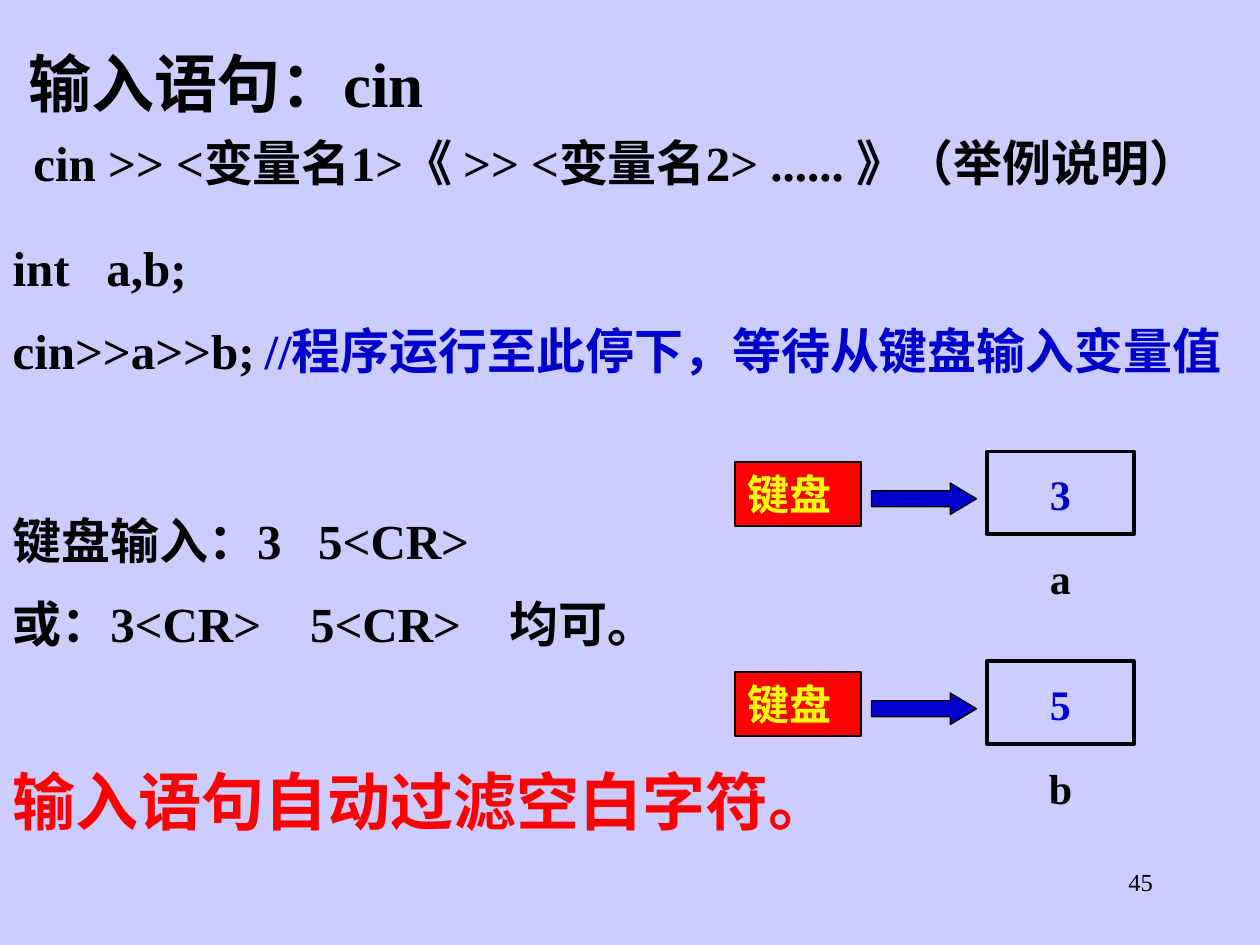
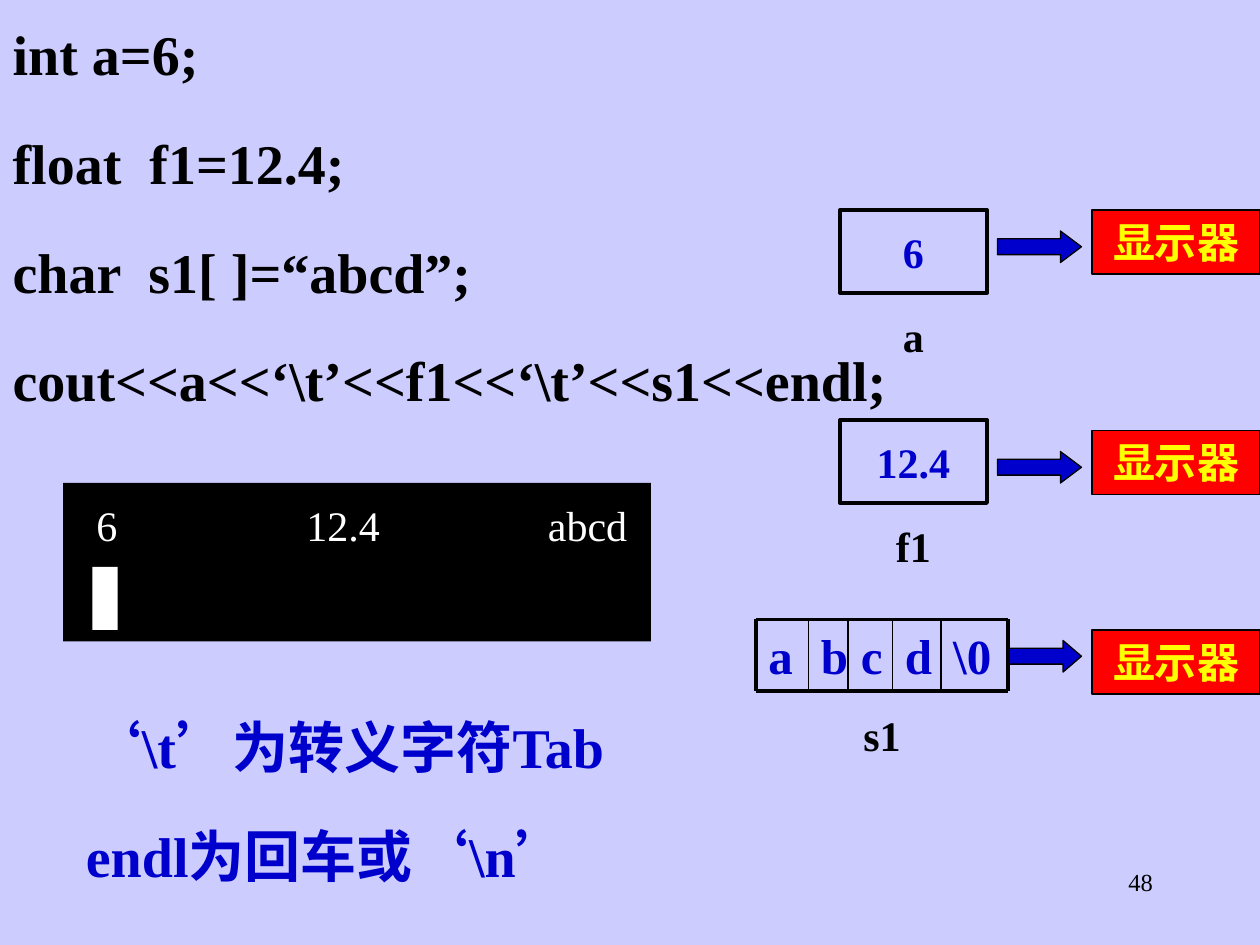
from dataclasses import dataclass
from typing import Optional

from lxml.etree import SubElement
from pptx import Presentation
from pptx.dml.color import RGBColor
from pptx.enum.shapes import MSO_CONNECTOR as CONNECTOR, MSO_SHAPE as SHAPE
from pptx.enum.text import MSO_ANCHOR as ANCHOR, MSO_AUTO_SIZE as AUTO_SIZE, PP_ALIGN as ALIGN
from pptx.oxml.ns import qn
from pptx.util import Inches, Pt

# Shared look: a grid of 120 columns by 90 rows
WIDTH, HEIGHT = Inches(10), Inches(7.5)
COLS, ROWS = 120, 90
FONT = "Times New Roman"
COLORS = {
    "background": "CCCCFF",
    "black": "000000",
    "white": "FFFFFF",
    "blue": "0000CC",
    "red": "FF0000",
    "yellow": "FFFF00",
}


@dataclass(frozen=True)
class Box:
    col: float
    row: float
    cols: float
    rows: float

    def emu(self) -> tuple:
        return x(self.col), y(self.row), x(self.cols), y(self.rows)


@dataclass(frozen=True)
class Style:
    size: int = 24
    color: str = "black"
    bold: bool = True
    align: ALIGN = ALIGN.LEFT
    before: int = 50  # percent of a line
    line: Optional[float] = None


@dataclass(frozen=True)
class Variable:
    name: str
    value: str
    col: float
    row: float


@dataclass(frozen=True)
class Arrow:
    col: float
    row: float
    cols: float


@dataclass(frozen=True)
class Device:
    name: str
    box: Box
    align: ALIGN


LABEL = Style(align=ALIGN.CENTER)
VALUE = Style(color="blue", align=ALIGN.CENTER)
STATEMENT = Style(28)
CODE = Style(32, line=1.2)
NOTE = Style(32, "blue", line=1.2)
CHARACTER = Style(28, "blue", before=20)
OUTPUT = Style(color="white", bold=False)


def x(cols: float) -> int:
    return round(WIDTH * cols / COLS)


def y(rows: float) -> int:
    return round(HEIGHT * rows / ROWS)


def rgb(name: str) -> RGBColor:
    return RGBColor.from_string(COLORS[name])


# Text
def format_run(r, style: Style, color: str) -> None:
    r.font.name, r.font.size, r.font.bold = FONT, Pt(style.size), style.bold
    r.font.color.rgb = rgb(color)


def format_paragraph(p, style: Style) -> None:
    p.alignment = style.align
    if style.line:
        p.line_spacing = style.line
    p.space_before = Pt(0)
    pPr = p._p.get_or_add_pPr()
    spacing = pPr.find(qn("a:spcBef"))
    spacing.clear()
    SubElement(spacing, qn("a:spcPct"), val=str(style.before * 1000))
    pPr.set("marL", "0")
    pPr.set("indent", "0")
    SubElement(pPr, qn("a:buNone"))
    for r in p.runs:
        format_run(r, style, style.color)


def write(sp, lines: list[str], style: Style) -> None:
    tf = sp.text_frame
    tf.word_wrap, tf.auto_size, tf.vertical_anchor = True, AUTO_SIZE.NONE, ANCHOR.TOP
    tf.text = "\n".join(lines)
    for p in tf.paragraphs:
        format_paragraph(p, style)


def add_text(slide, box: Box, lines: list[str], style: Style) -> None:
    write(slide.shapes.add_textbox(*box.emu()), lines, style)


def fill_placeholder(sp, box: Box, lines: list[str], style: Style) -> None:
    sp.left, sp.top, sp.width, sp.height = box.emu()
    write(sp, lines, style)


# Shapes
def add_shape(slide, kind: SHAPE, box: Box, fill: Optional[str] = None,
              line: Optional[float] = None):
    sp = slide.shapes.add_shape(kind, *box.emu())
    sp.shadow.inherit = False
    if fill:
        sp.fill.solid()
        sp.fill.fore_color.rgb = rgb(fill)
    else:
        sp.fill.background()
    if line:
        sp.line.color.rgb, sp.line.width = rgb("black"), Pt(line)
    else:
        sp.line.fill.background()
    return sp


def add_variable(slide, v: Variable) -> None:
    add_shape(slide, SHAPE.RECTANGLE, Box(v.col, v.row, 14, 7.9), line=2.25)
    add_text(slide, Box(v.col + 1, v.row + 9, 12, 6), [v.name], LABEL)
    add_text(slide, Box(v.col + 1, v.row + 1, 12, 6), [v.value], VALUE)


def add_device(slide, device: Device) -> None:
    sp = add_shape(slide, SHAPE.RECTANGLE, device.box, "red", 0.75)
    write(sp, [device.name], Style(color="yellow", align=device.align))


def add_arrow(slide, arrow: Arrow) -> None:
    sp = add_shape(slide, SHAPE.RIGHT_ARROW, Box(arrow.col, arrow.row, arrow.cols, 3),
                   "blue", 0.75)
    sp.adjustments[1] = sp.width / sp.height / 4  # head takes a quarter of the length


def add_line(slide, start: tuple, end: tuple, width: float) -> None:
    c = slide.shapes.add_connector(CONNECTOR.STRAIGHT, x(start[0]), y(start[1]),
                                   x(end[0]), y(end[1]))
    c.line.color.rgb, c.line.width = rgb("black"), Pt(width)
    SubElement(c._element.spPr, qn("a:effectLst"))


def add_string(slide, characters: list[str], edges: list[float], top: float) -> None:
    height = 6.8
    bottom = top + height
    for char, left, right in zip(characters, edges, edges[1:]):
        add_text(slide, Box(left, top, right - left, height), [char], CHARACTER)
    for row in (top, bottom):
        add_line(slide, (edges[0], row), (edges[-1], row), 2.25)
    for edge in edges:
        outer = edge in (edges[0], edges[-1])
        add_line(slide, (edge, top), (edge, bottom), 2.25 if outer else 1)


def add_slide(prs, number: int):
    slide = prs.slides.add_slide(prs.slide_layouts[1])
    add_text(slide, Box(86, 82, 25, 6), [str(number)],
             Style(14, bold=False, align=ALIGN.RIGHT, before=0))
    return slide


# Input statement
def build_input(prs) -> None:
    slide = add_slide(prs, 45)
    title, code = slide.placeholders
    fill_placeholder(title, Box(1.5, 1.5, 48, 10.5), ["输入语句：cin"], Style(36, line=1.3))
    add_text(slide, Box(2, 12, 118, 6.8),
             ["cin >> <变量名1>《 >> <变量名2> ...... 》（举例说明）"],
             Style(28, align=ALIGN.JUSTIFY))
    fill_placeholder(code, Box(0, 22, 120, 15.2), ["int   a,b;", "cin>>a>>b;\t"], STATEMENT)
    comment = code.text_frame.paragraphs[1].add_run()
    comment.text = "//程序运行至此停下，等待从键盘输入变量值"
    format_run(comment, STATEMENT, "blue")
    add_text(slide, Box(0, 48, 69.5, 15.2),
             ["键盘输入：3   5<CR>", "或：3<CR>    5<CR>    均可。"], STATEMENT)
    add_text(slide, Box(0, 72, 118, 8.4), ["输入语句自动过滤空白字符。"], Style(36, "red"))

    # Keyboard feeding each variable
    for v in (Variable("a", "3", 94, 43), Variable("b", "5", 94, 63)):
        add_variable(slide, v)
        add_device(slide, Device("键盘", Box(70, v.row + 1, 12, 6.1), ALIGN.LEFT))
        add_arrow(slide, Arrow(83, v.row + 3, 10))


# Output statement
def build_output(prs) -> None:
    slide = add_slide(prs, 48)
    title, code = slide.placeholders
    title._element.getparent().remove(title._element)
    fill_placeholder(code, Box(0, 0, 101, 41.5),
                     ["int a=6;", "float  f1=12.4;", "char  s1[ ]=“abcd”;",
                      "cout<<a<<‘\\t’<<f1<<‘\\t’<<s1<<endl;"], CODE)
    add_text(slide, Box(7, 66, 57, 19.8), ["‘\\t’为转义字符Tab", "endl为回车或‘\\n’"], NOTE)

    # Variables sent to the display
    for arrow, row in ((Arrow(95, 22, 8), 20), (Arrow(95, 43, 8), 41), (Arrow(96, 61, 7), 60)):
        add_device(slide, Device("显示器", Box(104, row, 16, 6.1), ALIGN.CENTER))
        add_arrow(slide, arrow)
    for v in (Variable("a", "6", 80, 20), Variable("f1", "12.4", 80, 40)):
        add_variable(slide, v)
    add_string(slide, ["a", "b", "c", "d", "\\0"], [72, 77, 80.8, 85, 89.6, 96], 59)
    add_text(slide, Box(78, 67, 12, 6), ["s1"], LABEL)

    # Console with its cursor
    add_shape(slide, SHAPE.RECTANGLE, Box(6, 46, 56, 15.1), "black")
    for text, col, cols in (("6", 8, 7), ("12.4", 28, 11), ("abcd", 51, 10)):
        write(add_shape(slide, SHAPE.RECTANGLE, Box(col, 47, cols, 6), "black"), [text], OUTPUT)
    add_shape(slide, SHAPE.RECTANGLE, Box(8.8, 54, 2.4, 6), "white")


def main() -> None:
    prs = Presentation()
    prs.slide_width, prs.slide_height = WIDTH, HEIGHT
    background = prs.slide_master.background.fill
    background.solid()
    background.fore_color.rgb = rgb("background")
    build_input(prs)
    build_output(prs)
    prs.save("out.pptx")


if __name__ == "__main__":
    main()
